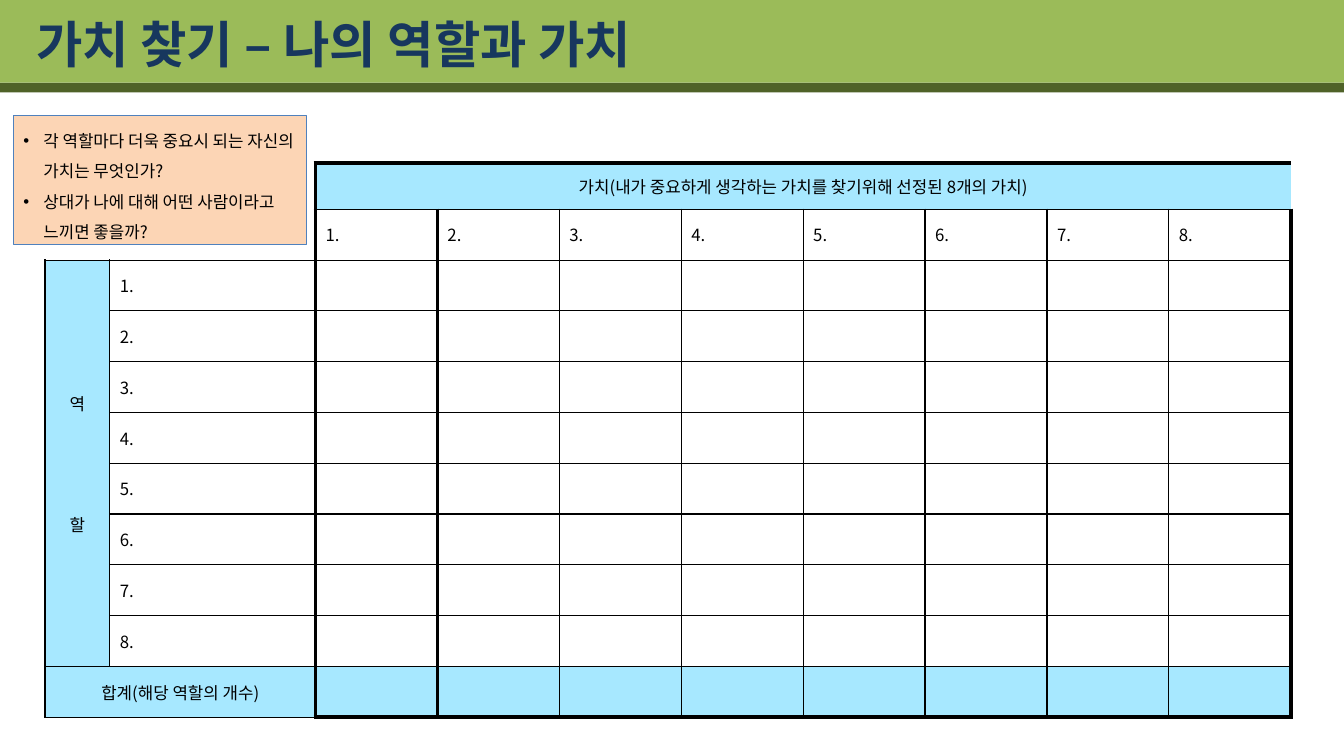
"""Builds a worksheet slide that matches personal roles with values."""
from lxml.etree import SubElement
from pptx import Presentation
from pptx.dml.color import RGBColor
from pptx.enum.shapes import MSO_SHAPE
from pptx.enum.text import MSO_ANCHOR, MSO_AUTO_SIZE, PP_ALIGN
from pptx.oxml.ns import qn
from pptx.util import Pt

GREEN = RGBColor(0x9B, 0xBB, 0x59)
DARK_GREEN = RGBColor(0x4F, 0x62, 0x28)
NAVY = RGBColor(0x17, 0x37, 0x5E)
PEACH = RGBColor(0xFC, 0xD5, 0xB5)
BLUE = RGBColor(0x4F, 0x81, 0xBD)
SKY = RGBColor(0xA7, 0xE8, 0xFF)
BLACK = RGBColor(0, 0, 0)

COUNT = 8
VALUE_COLUMN, ROLE_ROW = 2, 2
TOTAL_ROW = ROLE_ROW + COUNT
LAST_COLUMN = VALUE_COLUMN + COUNT
HEAVY_COLUMN_LINES = (VALUE_COLUMN, VALUE_COLUMN + 1, LAST_COLUMN)
HEAVY_ROW_LINES = (0, TOTAL_ROW + 1)
QUESTIONS = [
    "각 역할마다 더욱 중요시 되는 자신의 가치는 무엇인가?",
    "상대가 나에 대해 어떤 사람이라고 느끼면 좋을까?",
]


def region(row, column):
    """Names the block of merged or blank cells that holds a grid position."""
    if not (0 <= row <= TOTAL_ROW and 0 <= column < LAST_COLUMN):
        return "blank"
    if column < VALUE_COLUMN and row < ROLE_ROW:
        return "blank"
    if row == 0:
        return "values"
    if row == TOTAL_ROW and column < VALUE_COLUMN:
        return "total"
    if column == 0:
        return "roles"
    return row, column


def border_widths(row, column):
    """Gives the line width of each edge of a cell, zero for none."""
    here = region(row, column)
    widths = {}
    for tag, line, neighbour in (("a:lnL", column, column - 1), ("a:lnR", column + 1, column + 1)):
        width = 3 if line in HEAVY_COLUMN_LINES else 1
        widths[tag] = width if region(row, neighbour) != here else 0
    for tag, line, neighbour in (("a:lnT", row, row - 1), ("a:lnB", row + 1, row + 1)):
        width = 3 if line in HEAVY_ROW_LINES and column >= VALUE_COLUMN else 1
        widths[tag] = width if region(neighbour, column) != here else 0
    return widths


class SlideBuilder:
    """Holds the text style and the current slide."""

    def __init__(self, slide):
        self.slide = slide
        self.font_name = "Noto Sans CJK KR"
        self.font_size = Pt(12)

    def style(self, paragraph):
        """Applies the common text style to a paragraph."""
        for run in paragraph.runs:
            run.font.name = self.font_name
            run.font.size = self.font_size
            run.font.color.rgb = BLACK
            SubElement(run.font._element, qn("a:ea"), typeface=self.font_name)

    def place(self, shape, left, top, width, height):
        """Moves a placeholder and gives it a size."""
        shape.left, shape.top = Pt(left), Pt(top)
        shape.width, shape.height = Pt(width), Pt(height)
        shape.text_frame.auto_size = MSO_AUTO_SIZE.NONE
        shape.text_frame.word_wrap = True

    def band(self, top, height, color):
        """Adds a full-width band behind the placeholders."""
        band = self.slide.shapes.add_shape(MSO_SHAPE.RECTANGLE, 0, Pt(top), Pt(960), Pt(height))
        band.shadow.inherit = False
        band.fill.solid()
        band.fill.fore_color.rgb = color
        band.line.fill.background()
        self.slide.shapes._spTree.insert(2, band._element)

    def title(self, text):
        """Fills and formats the title placeholder."""
        title = self.slide.shapes.title
        self.place(title, 18.7, 3.6, 767.5, 54.7)
        title.text_frame.text = text
        title.text_frame.vertical_anchor = MSO_ANCHOR.MIDDLE
        paragraph = title.text_frame.paragraphs[0]
        paragraph.alignment = PP_ALIGN.LEFT
        font = paragraph.runs[0].font
        font.name, font.size, font.bold = "Arial", Pt(36), True
        font.color.rgb = NAVY

    def questions(self, lines):
        """Turns the body placeholder into a filled box with bullets."""
        box = self.slide.placeholders[1]
        self.place(box, 9.4, 82.6, 209.5, 91.8)
        box.fill.solid()
        box.fill.fore_color.rgb = PEACH
        box.line.color.rgb = BLUE
        box.line.width = Pt(0.75)
        box.text_frame.text = "\n".join(lines)
        box.text_frame.vertical_anchor = MSO_ANCHOR.TOP
        for paragraph in box.text_frame.paragraphs:
            paragraph.line_spacing = 1.5
            paragraph.space_before = Pt(0)
            properties = paragraph._p.get_or_add_pPr()
            properties.set("marL", str(Pt(14.4)))
            properties.set("indent", str(Pt(-14.4)))
            self.style(paragraph)

    def table(self, left, top, column_widths, row_heights):
        """Adds a plain table with the given columns and rows."""
        table = self.slide.shapes.add_table(
            len(row_heights), len(column_widths), Pt(left), Pt(top),
            Pt(sum(column_widths)), Pt(sum(row_heights))).table
        table.first_row = table.horz_banding = False
        for column, width in zip(table.columns, column_widths):
            column.width = Pt(width)
        for row, height in zip(table.rows, row_heights):
            row.height = Pt(height)
        return table

    def borders(self, cell, widths):
        """Draws the edges of a cell."""
        properties = cell._tc.get_or_add_tcPr()
        for position, (tag, width) in enumerate(widths.items()):
            line = SubElement(properties, qn(tag), w=str(Pt(width)))
            properties.insert(position, line)
            if width:
                fill = SubElement(line, qn("a:solidFill"))
                SubElement(fill, qn("a:srgbClr"), val=str(BLACK))
            else:
                SubElement(line, qn("a:noFill"))

    def cell_text(self, cell, text, alignment=PP_ALIGN.LEFT):
        """Writes styled text into a cell."""
        cell.text_frame.text = text
        cell.vertical_anchor = MSO_ANCHOR.MIDDLE
        for paragraph in cell.text_frame.paragraphs:
            paragraph.alignment = alignment
            self.style(paragraph)


presentation = Presentation()
presentation.slide_width, presentation.slide_height = Pt(960), Pt(540)
builder = SlideBuilder(presentation.slides.add_slide(presentation.slide_layouts[1]))
builder.band(0, 59, GREEN)
builder.band(59, 7, DARK_GREEN)
builder.title("가치 찾기 – 나의 역할과 가치")
builder.questions(QUESTIONS)

table = builder.table(32.2, 116.5, [46.2, 147] + [87.1] * COUNT, [33] + [36.3] * (COUNT + 2))
for row in range(TOTAL_ROW + 1):
    for column in range(LAST_COLUMN):
        cell = table.cell(row, column)
        if row == TOTAL_ROW or region(row, column) in ("values", "roles"):
            cell.fill.solid()
            cell.fill.fore_color.rgb = SKY
        else:
            cell.fill.background()
        builder.borders(cell, border_widths(row, column))

values_cell, roles_cell, total_cell = table.cell(0, VALUE_COLUMN), table.cell(ROLE_ROW, 0), table.cell(TOTAL_ROW, 0)
values_cell.merge(table.cell(0, LAST_COLUMN - 1))
roles_cell.merge(table.cell(TOTAL_ROW - 1, 0))
total_cell.merge(table.cell(TOTAL_ROW, 1))
builder.cell_text(values_cell, "가치(내가 중요하게 생각하는 가치를 찾기위해 선정된 8개의 가치)", PP_ALIGN.CENTER)
builder.cell_text(roles_cell, "역\n할", PP_ALIGN.CENTER)
roles_cell.text_frame.paragraphs[1].space_before = Pt(69)
builder.cell_text(total_cell, "합계(해당 역할의 개수)", PP_ALIGN.CENTER)
for index in range(COUNT):
    builder.cell_text(table.cell(1, VALUE_COLUMN + index), f"{index + 1}.")
    builder.cell_text(table.cell(ROLE_ROW + index, 1), f"{index + 1}.")

presentation.save("out.pptx")
